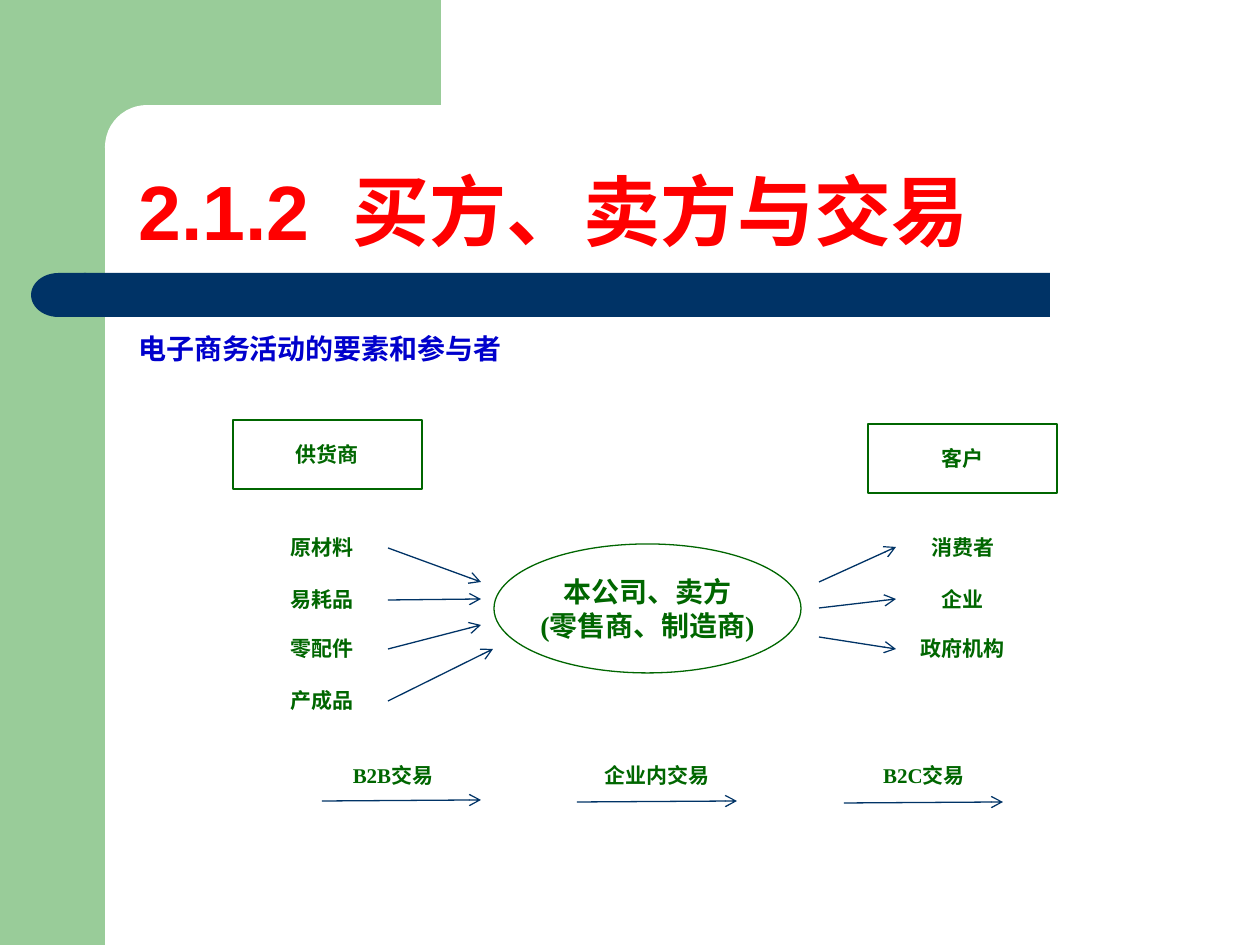
"""Build the slide on buyers, sellers and transactions in e-commerce."""
from lxml import etree
from pptx import Presentation
from pptx.dml.color import RGBColor
from pptx.enum.shapes import MSO_CONNECTOR, MSO_SHAPE
from pptx.enum.text import MSO_ANCHOR, PP_ALIGN
from pptx.oxml.ns import qn
from pptx.util import Pt

RECT, ROUND, DELAY, OVAL = (MSO_SHAPE.RECTANGLE, MSO_SHAPE.ROUNDED_RECTANGLE,
                            MSO_SHAPE.FLOWCHART_DELAY, MSO_SHAPE.OVAL)
STRAIGHT = MSO_CONNECTOR.STRAIGHT
TOP, MIDDLE, BOTTOM = MSO_ANCHOR.TOP, MSO_ANCHOR.MIDDLE, MSO_ANCHOR.BOTTOM
LEFT, CENTER = PP_ALIGN.LEFT, PP_ALIGN.CENTER

PX = 914400 / 126
COLORS = {"sage": "99CC99", "white": "FFFFFF", "navy": "003366",
          "red": "FF0000", "blue": "0000CC", "green": "006600"}


def px(*lengths):
    return [round(length * PX) for length in lengths]


def write(box, text, size=12, color="green", font="Times New Roman",
          align=CENTER, anchor=MIDDLE, wrap=False, spacing=None):
    frame = box.text_frame
    frame.word_wrap = wrap
    frame.vertical_anchor = anchor
    frame.text = text
    for para in frame.paragraphs:
        para.alignment = align
        para.line_spacing = spacing
        for span in para.runs:
            span.font.size = Pt(size)
            span.font.bold = True
            span.font.name = font
            span.font.color.rgb = RGBColor.from_string(COLORS[color])


deck = Presentation()
deck.slide_width, deck.slide_height = px(1260, 945)
page = deck.slides.add_slide(deck.slide_layouts[5])
shapes = page.shapes

backdrop = [
    (RECT, "sage", (0, 0, 105, 945)),
    (RECT, "sage", (95, 0, 346, 147)),
    (ROUND, "white", (105, 105, 703, 84)),
    (RECT, "navy", (84, 273, 966, 44)),
    (DELAY, "navy", (31, 273, 55, 44)),
]
for kind, color, place in backdrop:
    panel = shapes.add_shape(kind, *px(*place))
    panel.shadow.inherit = False
    panel.fill.solid()
    panel.fill.fore_color.rgb = RGBColor.from_string(COLORS[color])
    panel.line.fill.background()
    if kind == ROUND:
        panel.adjustments[0] = 0.5
    if kind == DELAY:
        panel.rotation = 180

title = shapes.title
title.left, title.top, title.width, title.height = px(126, 105, 1103, 158)
write(title, "2.1.2  买方、卖方与交易", size=44, color="red", font="Arial",
      align=LEFT, anchor=BOTTOM, wrap=True, spacing=0.9)
title.element.getparent().append(title.element)

subtitle = shapes.add_textbox(*px(126, 325, 465, 77))
write(subtitle, "电子商务活动的要素和参与者", size=16, color="blue",
      font="Arial", align=LEFT, anchor=TOP, wrap=True)

nodes = [
    (RECT, "供货商", 12, (233, 420, 189, 69)),
    (RECT, "客户", 12, (868, 424, 189, 69)),
    (OVAL, "本公司、卖方\n(零售商、制造商)", 16, (494, 544, 307, 129)),
]
for kind, text, size, place in nodes:
    node = shapes.add_shape(kind, *px(*place))
    node.shadow.inherit = False
    node.fill.background()
    node.line.color.rgb = RGBColor.from_string(COLORS["green"])
    node.line.width = Pt(0.75)
    write(node, text, size=size)

rows = [523, 575, 624, 676]
labels = [(text, 255, top) for text, top in
          zip(["原材料", "易耗品", "零配件", "产成品"], rows)]
labels += [(text, 896, top) for text, top in
           zip(["消费者", "企业", "政府机构"], rows)]
labels += [(text, left, 751) for text, left in
           [("B2B交易", 326), ("企业内交易", 590), ("B2C交易", 857)]]
for text, left, top in labels:
    write(shapes.add_textbox(*px(left, top, 134, 49)), text)

arrows = [
    (388, 548, 481, 582), (388, 600, 481, 599),
    (388, 649, 481, 625), (388, 701, 493, 649),
    (819, 582, 896, 547), (819, 608, 896, 599), (819, 637, 896, 649),
    (322, 801, 481, 800), (577, 802, 737, 801), (844, 803, 1003, 802),
]
for ends in arrows:
    arrow = shapes.add_connector(STRAIGHT, *px(*ends))
    arrow.line.color.rgb = RGBColor.from_string(COLORS["navy"])
    arrow.line.width = Pt(0.75)
    etree.SubElement(arrow.line._get_or_add_ln(), qn("a:tailEnd"), type="arrow")
    etree.SubElement(arrow.element.spPr, qn("a:effectLst"))

deck.save("out.pptx")
